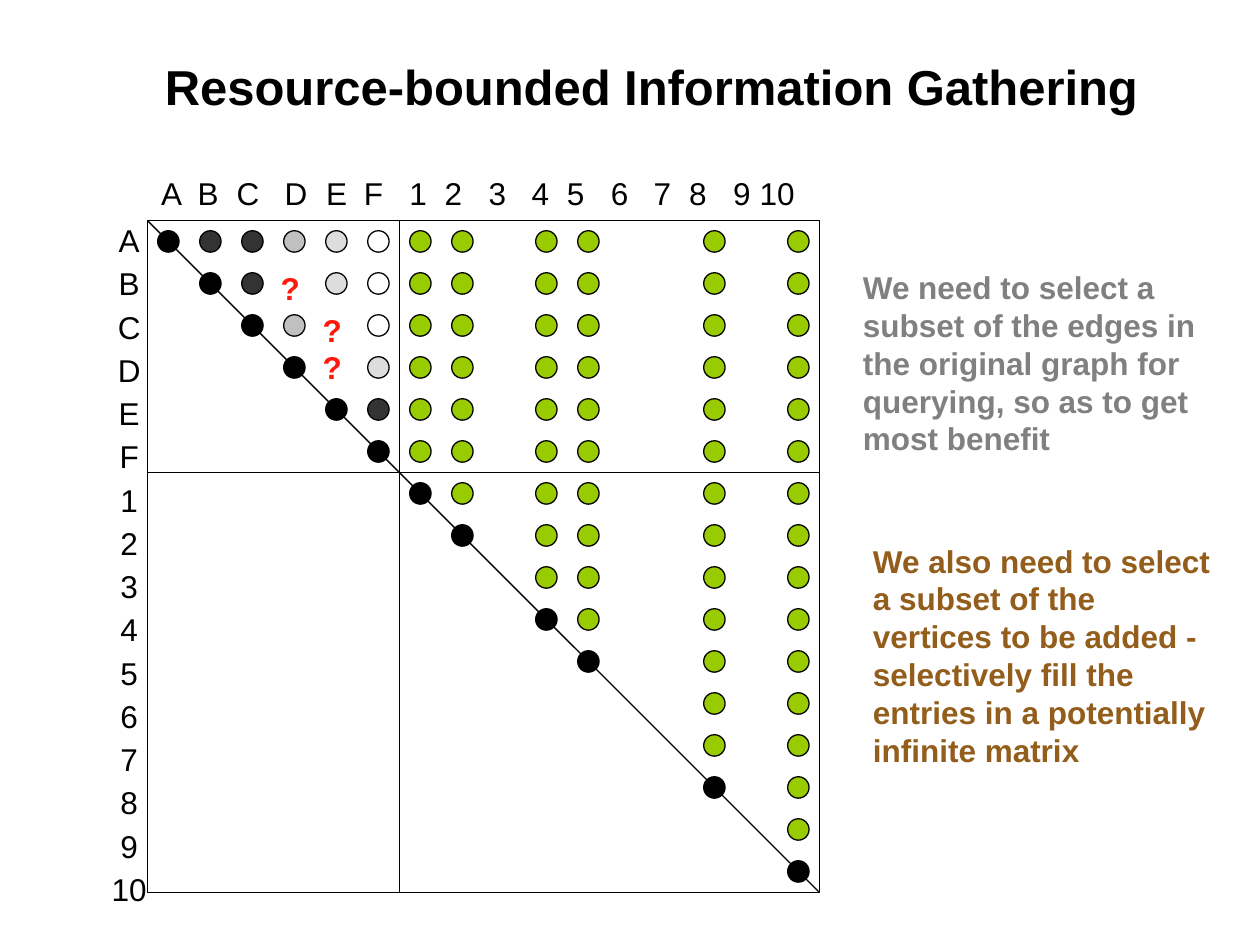
import lxml.etree as etree
import pptx
import pptx.dml.color
import pptx.enum.shapes
import pptx.enum.text
import pptx.oxml.ns
import pptx.util

RGBColor = pptx.dml.color.RGBColor
Inches = pptx.util.Inches
Pt = pptx.util.Pt
SHAPES = pptx.enum.shapes.MSO_SHAPE
ALIGN = pptx.enum.text.PP_ALIGN

BLACK = RGBColor(0x00, 0x00, 0x00)
DARK = RGBColor(0x33, 0x33, 0x33)
SILVER = RGBColor(0xC0, 0xC0, 0xC0)
PALE = RGBColor(0xDD, 0xDD, 0xDD)
WHITE = RGBColor(0xFF, 0xFF, 0xFF)
GREEN = RGBColor(0x99, 0xCC, 0x00)
GRAY = RGBColor(0x80, 0x80, 0x80)
RED = RGBColor(0xFF, 0x18, 0x0C)
BROWN = RGBColor(0x93, 0x5D, 0x1B)

LETTERS = list("ABCDEF")
LABELS = LETTERS + [str(number) for number in range(1, 11)]
SELECTED = ["1", "2", "4", "5", "8", "10"]
SHADES = {"d": DARK, "s": SILVER, "p": PALE, "w": WHITE}
# Known edges of the lettered block, right of the diagonal; "?" is unknown.
KNOWN_EDGES = ["ddspw", "d?pw", "s?w", "?p", "d"]
HEADER_TABS = [0.29, 0.6, 0.98, 1.31, 1.61, 1.97, 2.25, 2.6,
               2.94, 3.22, 3.57, 3.91, 4.19, 4.54, 4.75]

LEFT, TOP, CELL = 1.17, 1.75, 1 / 3
SIZE = CELL * len(LABELS)
DOT = 0.17


def add_text(page, place, lines, color=BLACK, bold=False, wrap=True):
    box = page.shapes.add_textbox(*map(Inches, place))
    frame = box.text_frame
    frame.word_wrap = wrap
    frame.text = "\n".join(lines)
    for para in frame.paragraphs:
        style_paragraph(para, 18, color, bold)
    return frame


def style_paragraph(para, size, color, bold):
    para.font.name = "Arial"
    para.font.size = Pt(size)
    para.font.bold = bold
    para.font.color.rgb = color


def add_tab_stops(para, stops):
    qn = pptx.oxml.ns.qn
    properties = para._p.get_or_add_pPr()
    tabs = etree.Element(qn("a:tabLst"))
    for stop in stops:
        etree.SubElement(tabs, qn("a:tab"), pos=str(Inches(stop)), algn="l")
    properties.insert(0, tabs)


def add_line(page, start, end):
    """Draw a thin line between two (column, row) corners of the matrix."""
    ends = [Inches(origin + CELL * step)
            for point in (start, end)
            for origin, step in zip((LEFT, TOP), point)]
    line = page.shapes.add_connector(
        pptx.enum.shapes.MSO_CONNECTOR.STRAIGHT, *ends)
    line.line.color.rgb = BLACK
    line.line.width = Pt(0.75)
    properties = line._element.spPr
    etree.SubElement(properties, pptx.oxml.ns.qn("a:effectLst"))


def add_outlined(page, kind, place, color=None):
    shape = page.shapes.add_shape(kind, *map(Inches, place))
    shape.shadow.inherit = False
    if color is None:
        shape.fill.background()
    else:
        shape.fill.solid()
        shape.fill.fore_color.rgb = color
    shape.line.color.rgb = BLACK
    shape.line.width = Pt(0.75)


def add_dot(page, row, column, color):
    inset = (CELL - DOT) / 2
    place = (LEFT + CELL * column + inset, TOP + CELL * row + inset, DOT, DOT)
    add_outlined(page, SHAPES.OVAL, place, color)


def add_question(page, row, column):
    lift = 0.04 if row == 3 else 0
    place = (LEFT + CELL * column - 0.04, TOP + CELL * row - lift, 0.2, 0.4)
    add_text(page, place, ["?"], RED, bold=True)


def add_labels(page):
    header = add_text(page, (1.18, 1.33, 7.82, 0.4), [""])
    para = header.paragraphs[0]
    para.text = "\t".join(LABELS)
    add_tab_stops(para, HEADER_TABS)

    side = add_text(page, (0.78, 1.8, 0.49, 5.33), LABELS, wrap=False)
    for index, para in enumerate(side.paragraphs):
        para.alignment = ALIGN.CENTER
        para.line_spacing = 0.65
        para.space_before = Pt(10.7 if index else 0)


def add_matrix(page):
    split, end = len(LETTERS), len(LABELS)
    add_outlined(page, SHAPES.RECTANGLE, (LEFT, TOP, SIZE, SIZE))
    add_line(page, (split, 0), (split, end))
    add_line(page, (0, split), (end, split))
    add_line(page, (0, 0), (end, end))

    for column, label in enumerate(LABELS):
        if label in LETTERS + SELECTED:
            add_dot(page, column, column, BLACK)
        if label in SELECTED:
            for row in range(column):
                add_dot(page, row, column, GREEN)

    for row, marks in enumerate(KNOWN_EDGES):
        for column, mark in enumerate(marks, start=row + 1):
            if mark == "?":
                add_question(page, row, column)
            else:
                add_dot(page, row, column, SHADES[mark])


def set_title(page, text):
    title = page.shapes.title
    title.left, title.top, title.width, title.height = map(
        Inches, (0.67, 0.33, 9, 0.7))
    frame = title.text_frame
    frame.text = text
    frame.word_wrap = True
    frame.vertical_anchor = pptx.enum.text.MSO_ANCHOR.MIDDLE
    para = frame.paragraphs[0]
    para.alignment = ALIGN.CENTER
    style_paragraph(para, 28, BLACK, True)


def main():
    deck = pptx.Presentation()
    deck.slide_width, deck.slide_height = Inches(10), Inches(7.5)
    page = deck.slides.add_slide(deck.slide_layouts.get_by_name("Title Only"))
    set_title(page, "Resource-bounded Information Gathering")
    add_labels(page)
    add_matrix(page)
    add_text(page, (6.75, 2.08, 2.92, 1.6),
             ["We need to select a subset of the edges in the original graph "
              "for querying, so as to get most benefit"], GRAY, bold=True)
    add_text(page, (6.83, 4.25, 2.92, 1.9),
             ["We also need to select a subset of the vertices to be added - "
              "selectively fill the entries in a potentially infinite matrix"],
             BROWN, bold=True)
    deck.save("out.pptx")


if __name__ == "__main__":
    main()
